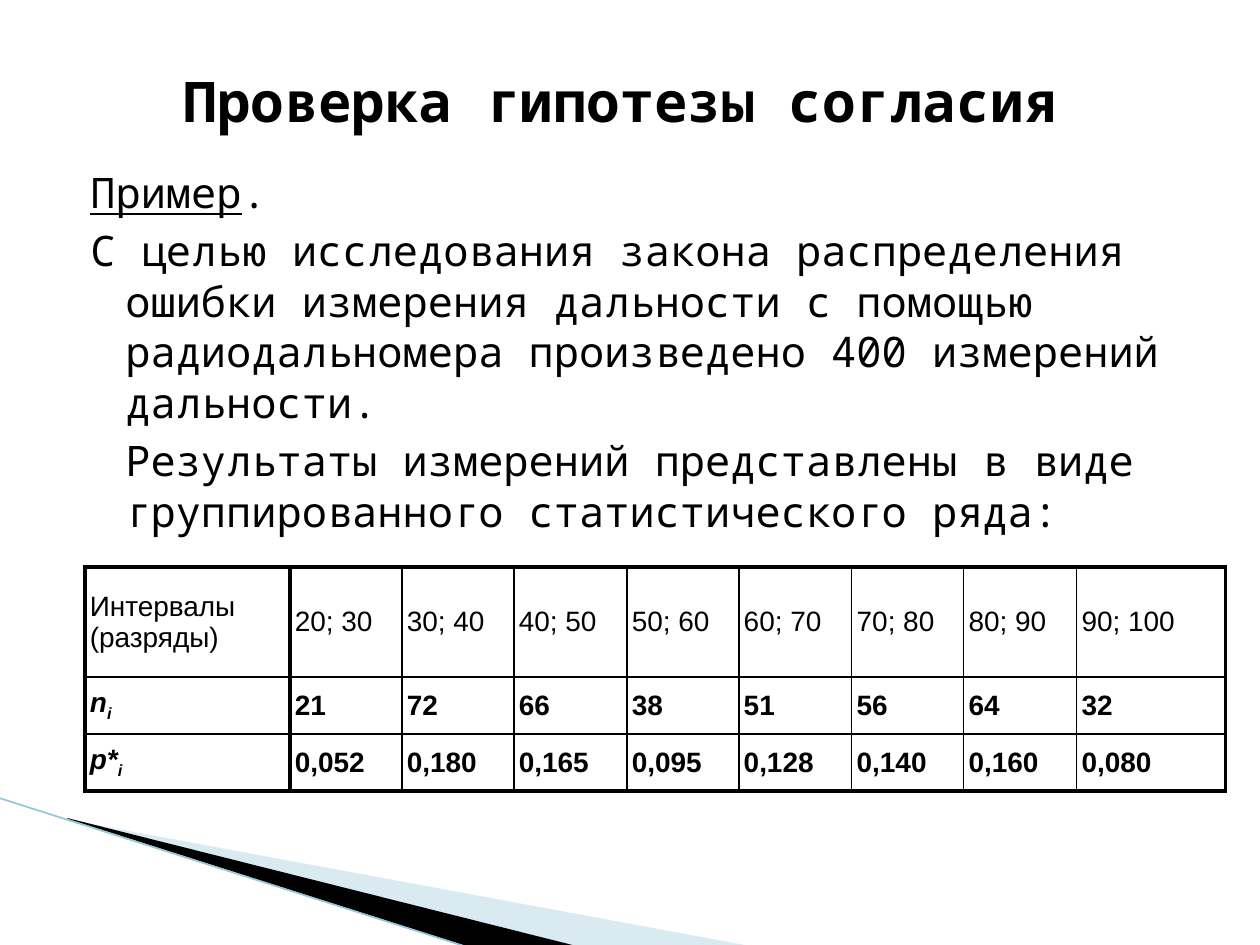
from lxml.etree import SubElement
from pptx import Presentation
from pptx.dml.color import RGBColor
from pptx.enum.shapes import MSO_CONNECTOR
from pptx.enum.text import MSO_ANCHOR, PP_ALIGN
from pptx.oxml import parse_xml
from pptx.oxml.ns import nsdecls, qn
from pptx.util import Pt

PX = 914400 // 126
COLORS = {"ink": "000000", "pale": "A0CBDC", "edge": "97C5D8"}
TITLE_FONT, TABLE_FONT = "Noto Sans Mono", "Arial"
THIN, THICK = 1, 2.25

INTERVALS = ["20; 30", "30; 40", "40; 50", "50; 60", "60; 70", "70; 80", "80; 90", "90; 100"]
COUNTS = ["21", "72", "66", "38", "51", "56", "64", "32"]
FREQUENCIES = ["0,052", "0,180", "0,165", "0,095", "0,128", "0,140", "0,160", "0,080"]
ROWS = [
    [["Интервалы (разряды)"]] + [[text] for text in INTERVALS],
    [["n", "i"]] + [[text] for text in COUNTS],
    [["p*", "i"]] + [[text] for text in FREQUENCIES],
]
PARAGRAPHS = [  # runs, first-line indent
    (["Пример", "."], -35),
    (["С целью исследования закона распределения ошибки измерения дальности "
      "с помощью радиодальномера произведено 400 измерений дальности."], -35),
    (["Результаты измерений представлены в виде группированного статистического ряда:"], 0),
]


def color(name):
    return RGBColor.from_string(COLORS[name])


def add_span(para, text, font, size, bold=False, italic=False):
    span = para.add_run()
    span.text = text
    span.font.name, span.font.size = font, Pt(size)
    span.font.bold, span.font.italic = bold, italic
    span.font.color.rgb = color("ink")
    return span


def add_box(page, left, top, width, height):
    box = page.shapes.add_textbox(left * PX, top * PX, width * PX, height * PX)
    box.text_frame.word_wrap = True
    return box.text_frame


def add_wedge(page, points, fill, alpha=100):
    builder = page.shapes.build_freeform(*points[0], scale=PX)
    builder.add_line_segments(points[1:], close=True)
    wedge = builder.convert_to_shape()
    wedge.shadow.inherit = False
    wedge.fill.solid()
    wedge.fill.fore_color.rgb = color(fill)
    wedge.line.fill.background()
    if alpha < 100:
        tint = wedge._element.spPr.find(qn("a:solidFill"))[0]
        SubElement(tint, qn("a:alpha")).set("val", str(alpha * 1000))


def add_line(page, start, end):
    line = page.shapes.add_connector(
        MSO_CONNECTOR.STRAIGHT, *(value * PX for value in start + end))
    line.line.color.rgb = color("edge")
    line.line.width = Pt(0.95)
    SubElement(line._element.spPr, qn("a:effectLst"))


def set_borders(cell, widths):
    properties = cell._tc.get_or_add_tcPr()
    for index, (side, width) in enumerate(zip("LRTB", widths)):
        properties.insert(index, parse_xml(
            f'<a:ln{side} {nsdecls("a")} w="{Pt(width)}"><a:solidFill>'
            f'<a:srgbClr val="{COLORS["ink"]}"/></a:solidFill></a:ln{side}>'))


def fill_cell(cell, parts, bold, italic):
    cell.fill.background()
    cell.vertical_anchor = MSO_ANCHOR.MIDDLE
    cell.margin_left = cell.margin_right = 5 * PX
    cell.margin_top = cell.margin_bottom = 6 * PX
    para = cell.text_frame.paragraphs[0]
    for index, text in enumerate(parts):
        span = add_span(para, text, TABLE_FONT, 16, bold, italic)
        if index:  # subscript
            span._r.get_or_add_rPr().set("baseline", "-25000")


def add_series_table(page):
    edges = [85] + [290 + 787 * step // 7 for step in range(8)] + [1226]
    heights = [110, 57, 57]
    table = page.shapes.add_table(
        len(ROWS), len(ROWS[0]), edges[0] * PX, 567 * PX,
        (edges[-1] - edges[0]) * PX, sum(heights) * PX).table
    table.first_row = table.horz_banding = False
    for column, left, right in zip(table.columns, edges, edges[1:]):
        column.width = (right - left) * PX
    for row, height in zip(table.rows, heights):
        row.height = height * PX

    # Heavy frame, and a heavy rule after the heading column
    last_row, last_column = len(ROWS) - 1, len(ROWS[0]) - 1
    for r, row in enumerate(ROWS):
        for c, parts in enumerate(row):
            cell = table.cell(r, c)
            fill_cell(cell, parts, bold=r > 0, italic=r > 0 and c == 0)
            heavy = (c <= 1, c in (0, last_column), r == 0, r == last_row)
            set_borders(cell, [THICK if side else THIN for side in heavy])


def add_body(page):
    frame = add_box(page, 63, 160, 1134, 400)
    for index, (texts, indent) in enumerate(PARAGRAPHS):
        para = frame.add_paragraph() if index else frame.paragraphs[0]
        para.space_before, para.line_spacing = Pt(4), Pt(29)
        properties = para._p.get_or_add_pPr()
        properties.set("marL", str(50 * PX))
        properties.set("indent", str(indent * PX))
        for text in texts:
            add_span(para, text, TITLE_FONT, 24)
    frame.paragraphs[0].runs[0].font.underline = True


def add_title(page):
    frame = add_box(page, 54, 26, 1134, 149)
    frame.vertical_anchor = MSO_ANCHOR.MIDDLE
    para = frame.paragraphs[0]
    para.alignment = PP_ALIGN.CENTER
    add_span(para, "Проверка гипотезы согласия", TITLE_FONT, 32, bold=True)


def main():
    deck = Presentation()
    deck.slide_width, deck.slide_height = 1260 * PX, 945 * PX
    page = deck.slides.add_slide(deck.slide_layouts[6])

    # Corner decoration
    add_wedge(page, [(69, 820), (750, 946), (575, 946), (69, 819)], "pale", 40)
    add_wedge(page, [(67, 818), (576, 946), (469, 947), (68, 819)], "ink")
    add_line(page, (-1, 798), (467, 947))

    # Content
    add_body(page)
    add_series_table(page)
    add_title(page)
    deck.save("out.pptx")


if __name__ == "__main__":
    main()
